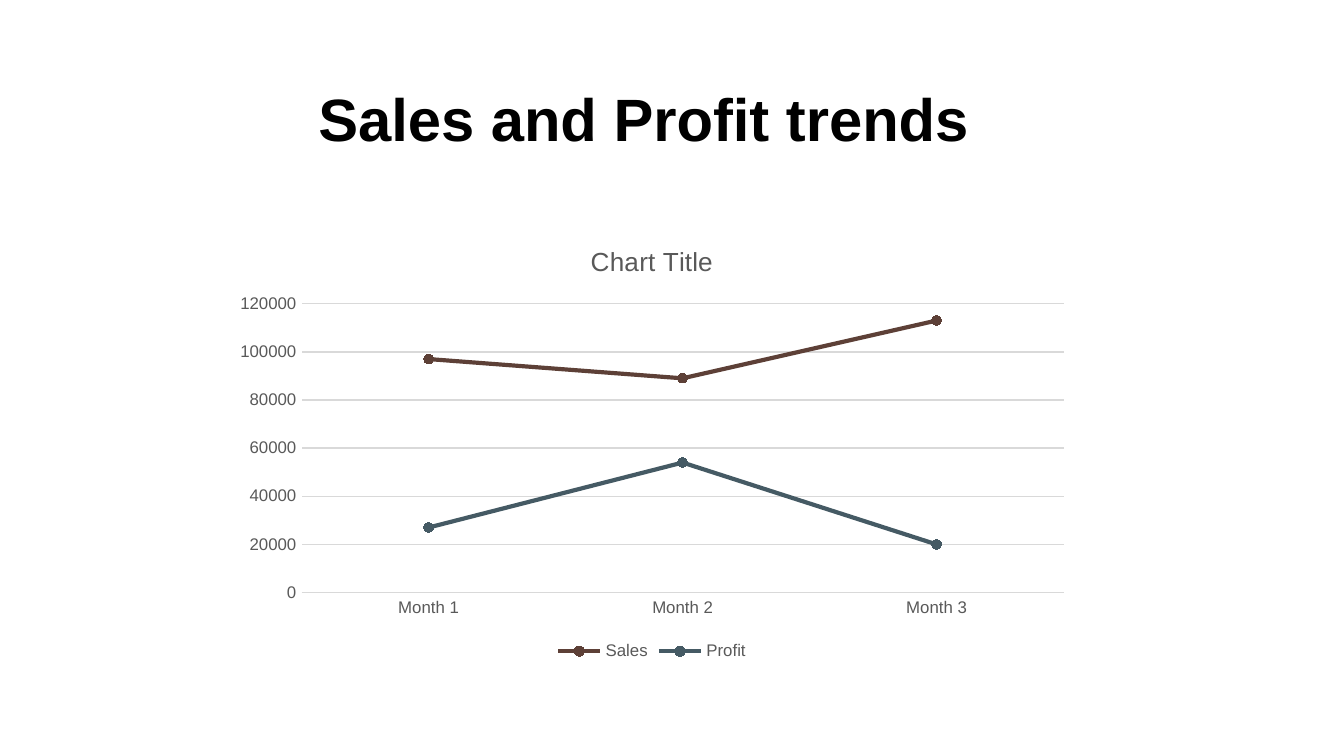
import pptx
import pptx.chart.data
import pptx.dml.color
import pptx.enum.chart
import pptx.enum.text
import pptx.util

Pt = pptx.util.Pt
FONT = "Arial"
COLORS = {
    "title": "000000",
    "text": "595959",
    "grid": "D9D9D9",
    "Sales": "5D4037",
    "Profit": "455A64",
}
MONTHS = ["Month 1", "Month 2", "Month 3"]
TRENDS = {
    "Sales": [97000, 89000, 113000],
    "Profit": [27000, 54000, 20000],
}


def rgb(name):
    return pptx.dml.color.RGBColor.from_string(COLORS[name])


def style_font(font, size, color, bold=False):
    font.name = FONT
    font.size = Pt(size)
    font.bold = bold
    font.color.rgb = rgb(color)


def style_line(line, color, width):
    line.color.rgb = rgb(color)
    line.width = Pt(width)


def add_title(s, text, x, y, w, h):
    sp = s.shapes.title
    sp.left, sp.top, sp.width, sp.height = Pt(x), Pt(y), Pt(w), Pt(h)
    tf = sp.text_frame
    tf.word_wrap = True
    tf.auto_size = pptx.enum.text.MSO_AUTO_SIZE.NONE
    tf.vertical_anchor = pptx.enum.text.MSO_ANCHOR.MIDDLE
    p = tf.paragraphs[0]
    p.alignment = pptx.enum.text.PP_ALIGN.CENTER
    r = p.add_run()
    r.text = text
    style_font(r.font, 32, "title", True)


def style_axes(chart):
    for axis in (chart.category_axis, chart.value_axis):
        axis.major_tick_mark = pptx.enum.chart.XL_TICK_MARK.NONE
        axis.minor_tick_mark = pptx.enum.chart.XL_TICK_MARK.NONE
        style_font(axis.tick_labels.font, 9, "text")
    style_line(chart.category_axis.format.line, "grid", 0.75)
    values = chart.value_axis
    values.minimum_scale, values.maximum_scale = 0, 120000
    values.major_unit = 20000
    values.format.line.fill.background()
    values.has_major_gridlines = True
    style_line(values.major_gridlines.format.line, "grid", 0.75)


def style_series(series):
    series.smooth = False
    style_line(series.format.line, series.name, 2.25)
    marker = series.marker
    marker.style = pptx.enum.chart.XL_MARKER_STYLE.CIRCLE
    marker.size = 5
    marker.format.fill.solid()
    marker.format.fill.fore_color.rgb = rgb(series.name)
    style_line(marker.format.line, series.name, 0.75)


def add_trend_chart(s, title, x, y, w, h):
    data = pptx.chart.data.CategoryChartData(number_format="General")
    data.categories = MONTHS
    for name, values in TRENDS.items():
        data.add_series(name, values)
    chart = s.shapes.add_chart(
        pptx.enum.chart.XL_CHART_TYPE.LINE_MARKERS,
        Pt(x), Pt(y), Pt(w), Pt(h), data,
    ).chart
    style_font(chart.font, 10, "title")
    chart.has_title = True
    r = chart.chart_title.text_frame.paragraphs[0].add_run()
    r.text = title
    style_font(r.font, 14, "text")
    chart.chart_title.include_in_layout = False
    chart.has_legend = True
    chart.legend.position = pptx.enum.chart.XL_LEGEND_POSITION.BOTTOM
    chart.legend.include_in_layout = False
    style_font(chart.legend.font, 9, "text")
    style_axes(chart)
    plot = chart.plots[0]
    plot.vary_by_categories = False
    for series in plot.series:
        style_series(series)


def main():
    prs = pptx.Presentation()
    prs.slide_width, prs.slide_height = Pt(720), Pt(405)
    s = prs.slides.add_slide(prs.slide_layouts[5])
    add_title(s, "Sales and Profit trends", 66, 40, 558, 46)
    add_trend_chart(s, "Chart Title", 119.5, 120, 459.5, 237)
    prs.save("out.pptx")


if __name__ == "__main__":
    main()
